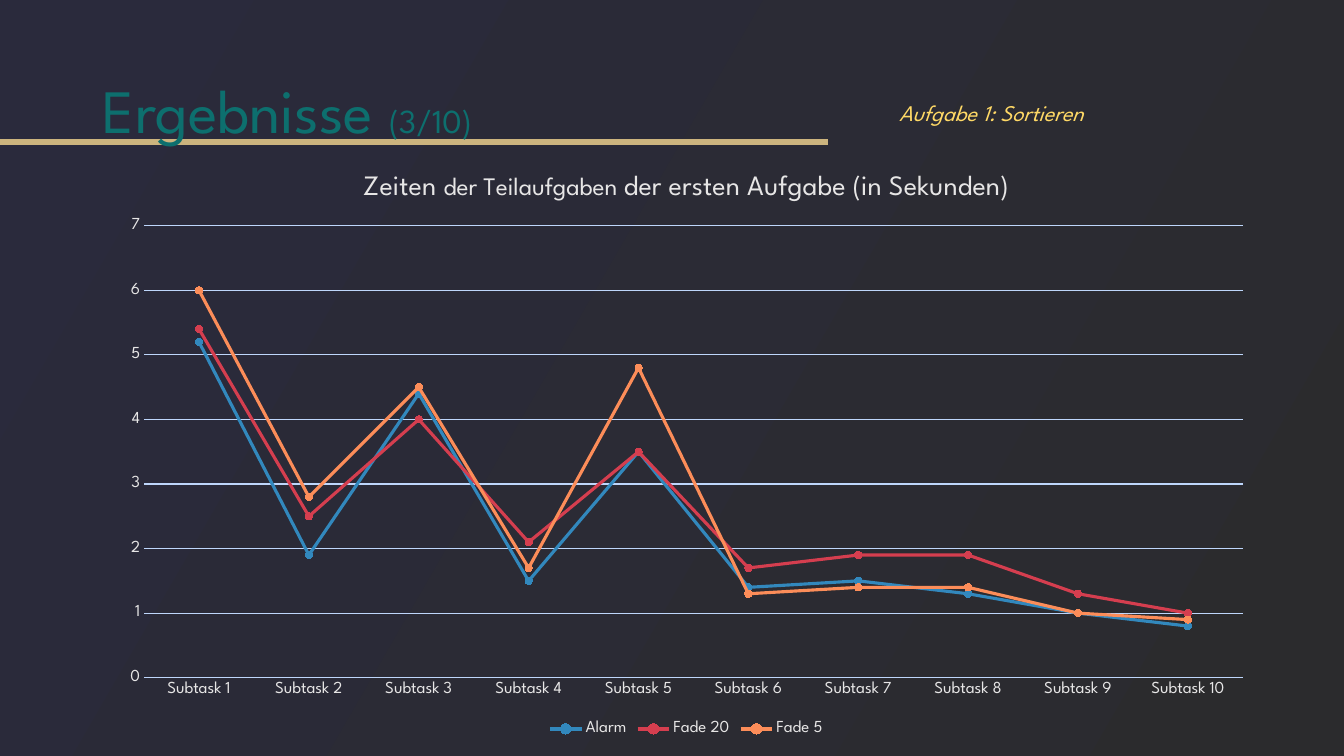
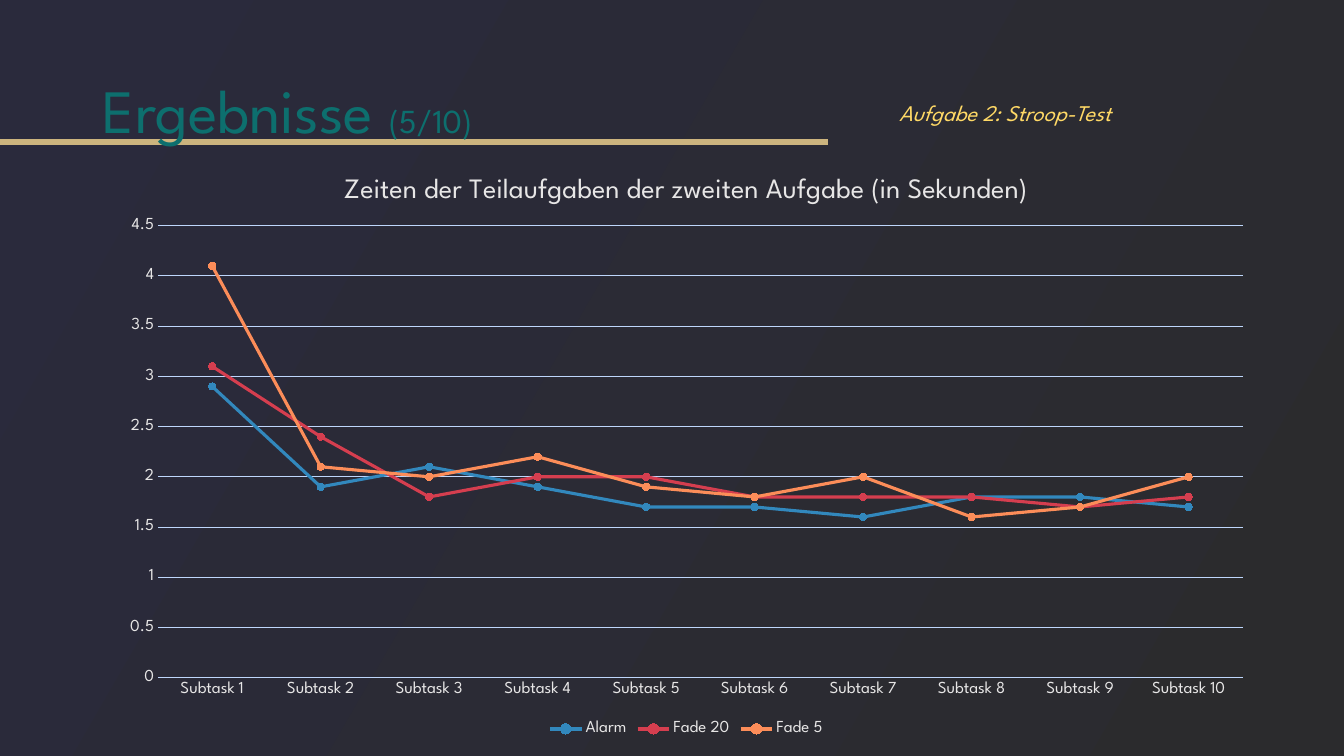
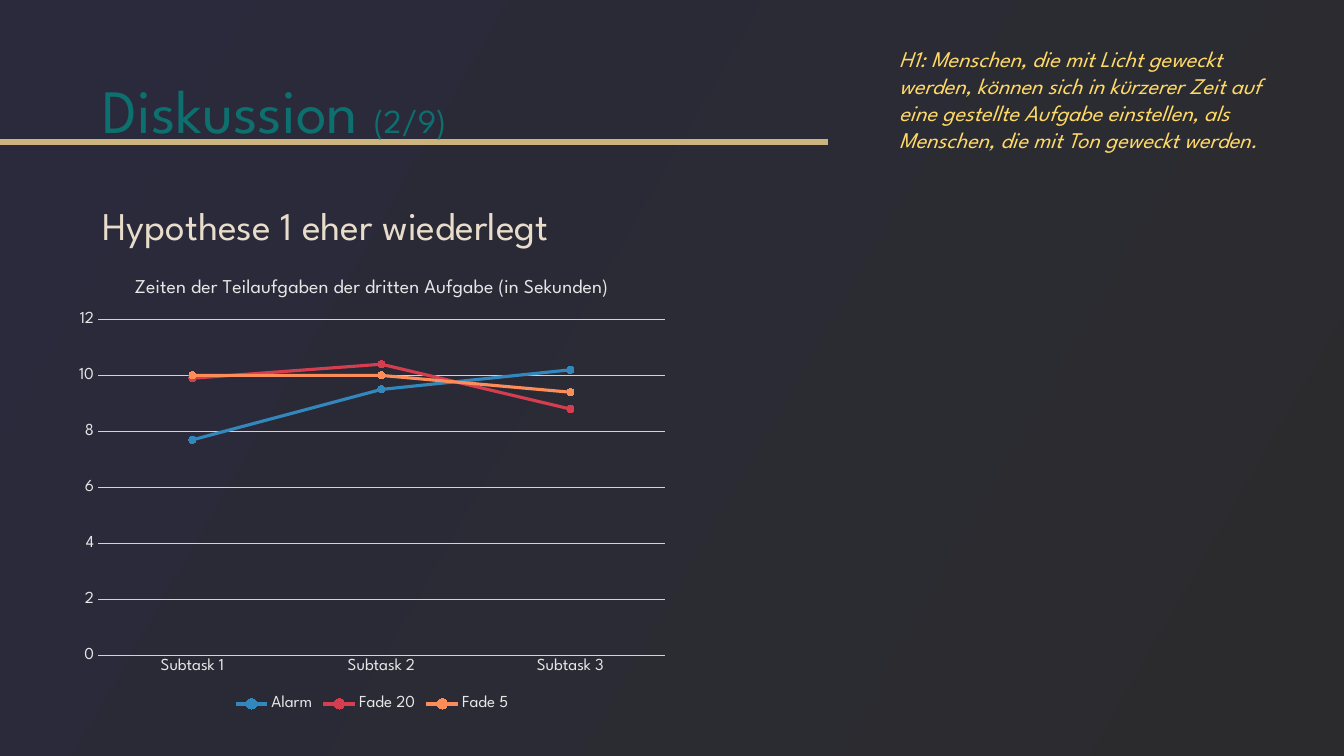
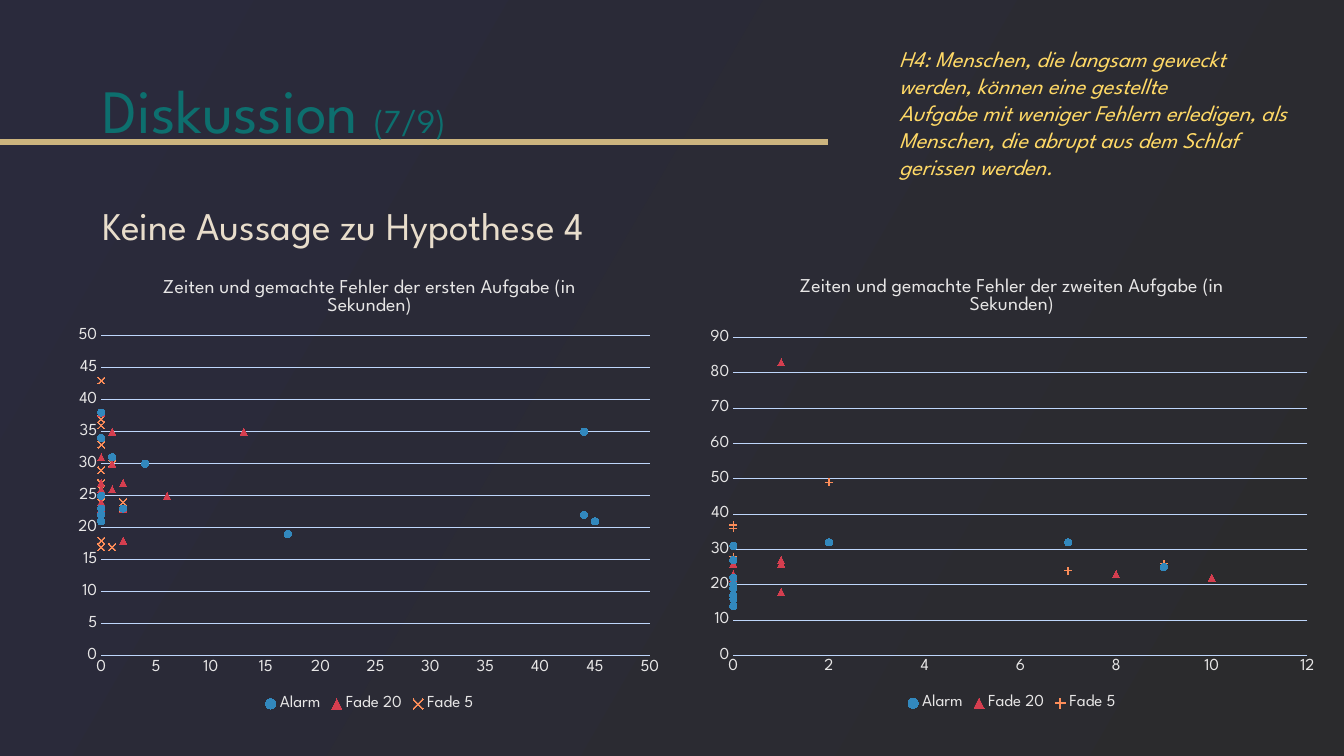
"""Build four slides with the results and discussion of a wake-up study."""
from typing import NamedTuple

from pptx import Presentation
from pptx.chart.data import CategoryChartData, XyChartData
from pptx.dml.color import RGBColor
from pptx.enum.chart import XL_CHART_TYPE, XL_LEGEND_POSITION, XL_MARKER_STYLE, XL_TICK_MARK
from pptx.enum.shapes import MSO_CONNECTOR
from pptx.enum.text import MSO_ANCHOR
from pptx.oxml import parse_xml
from pptx.oxml.ns import nsdecls, qn
from pptx.util import Cm, Pt

FONT = "League Spartan"
NIGHT = RGBColor(0x2A, 0x2A, 0x3C)
CHARCOAL = RGBColor(0x2B, 0x2B, 0x2D)
GOLD = RGBColor(0xCC, 0xB4, 0x7E)
TEAL = RGBColor(0x0D, 0x6F, 0x6E)
SAND = RGBColor(0xE8, 0xDD, 0xCB)
YELLOW = RGBColor(0xFF, 0xD9, 0x66)
PALE_GRAY = RGBColor(0xE7, 0xE6, 0xE6)
PALE_BLUE = RGBColor(0xBE, 0xD6, 0xFB)
SERIES_COLORS = {
    "Alarm": RGBColor(0x32, 0x88, 0xBD),
    "Fade 20": RGBColor(0xD5, 0x3E, 0x4F),
    "Fade 5": RGBColor(0xFC, 0x8D, 0x59),
}
CIRCLE = XL_MARKER_STYLE.CIRCLE
TRIANGLE = XL_MARKER_STYLE.TRIANGLE


class Box(NamedTuple):
    """Position and size in centimetres."""
    left: float
    top: float
    width: float
    height: float

    def lengths(self):
        """Return the four values as lengths."""
        return [Cm(value) for value in self]


class Inset(NamedTuple):
    """Distances in centimetres from a chart's edges to its plot."""
    left: float
    top: float
    right: float
    bottom: float


class Scale(NamedTuple):
    """Upper end and step of an axis that starts at zero."""
    maximum: float
    step: float


class Group(NamedTuple):
    """Errors and times of the participants woken by one method."""
    name: str
    errors: tuple
    times: tuple


TITLE_BOX = Box(2.34, 1.02, 29.21, 3.68)
BODY_BOX = Box(2.34, 5.08, 29.21, 12.09)
WIDE_CHART_BOX = Box(2.69, 3.86, 29.21, 14.81)
TASK_BOX = Box(22.41, 2.37, 10.46, 0.94)
HYPOTHESIS_BOX = Box(22.41, 1.02, 10.46, 3.68)


def style_font(font, size, color, italic=None):
    """Apply the deck's typeface with a size and colour."""
    font.name = FONT
    font.size = Pt(size)
    font.color.rgb = color
    font.italic = italic


def add_text(slide, box, lines, size, color, italic=None):
    """Add a wrapped text box with one paragraph per line."""
    text_frame = slide.shapes.add_textbox(*box.lengths()).text_frame
    text_frame.word_wrap = True
    text_frame.text = "\n".join(lines)
    for paragraph in text_frame.paragraphs:
        for run in paragraph.runs:
            style_font(run.font, size, color, italic)
    return text_frame


def add_base_slide(presentation, title, counter):
    """Add a slide with the shared background, rule and title."""
    slide = presentation.slides.add_slide(presentation.slide_layouts[6])
    fill = slide.background.fill
    fill.gradient()
    fill.gradient_angle = 330
    for stop, color in zip(fill.gradient_stops, (NIGHT, CHARCOAL)):
        stop.color.rgb = color
    rule = slide.shapes.add_connector(
        MSO_CONNECTOR.STRAIGHT, Cm(0), Cm(3.57), Cm(20.86), Cm(3.57))
    rule.line.color.rgb = GOLD
    rule.line.width = Pt(4.5)
    rule.element.spPr.append(parse_xml(f"<a:effectLst {nsdecls('a')}/>"))
    text_frame = add_text(slide, TITLE_BOX, [f"{title} "], 44, TEAL)
    text_frame.vertical_anchor = MSO_ANCHOR.MIDDLE
    paragraph = text_frame.paragraphs[0]
    paragraph.line_spacing = 0.9
    run = paragraph.add_run()
    run.text = counter
    style_font(run.font, 24, TEAL)
    return slide


def add_statement(slide, text):
    """Add the large statement below the title."""
    paragraph = add_text(slide, BODY_BOX, [text], 28, SAND).paragraphs[0]
    paragraph.line_spacing = 0.9
    paragraph.space_before = Pt(10)


def place_plot(chart, box, inset):
    """Fix the inner plot area inside the chart box."""
    fractions = {
        "x": inset.left / box.width,
        "y": inset.top / box.height,
        "w": (box.width - inset.left - inset.right) / box.width,
        "h": (box.height - inset.top - inset.bottom) / box.height,
    }
    values = "".join(f'<c:{key} val="{value:.4f}"/>' for key, value in fractions.items())
    plot_area = chart.element.find(".//" + qn("c:plotArea"))
    for layout in plot_area.findall(qn("c:layout")):
        plot_area.remove(layout)
    plot_area.insert(0, parse_xml(
        f'<c:layout {nsdecls("c")}><c:manualLayout><c:layoutTarget val="inner"/>'
        f'<c:xMode val="edge"/><c:yMode val="edge"/>{values}'
        '</c:manualLayout></c:layout>'))


def set_scale(axis, scale):
    """Run an axis from zero to its maximum."""
    axis.minimum_scale = 0
    axis.maximum_scale, axis.major_unit = scale


def set_chart_title(chart, title_parts):
    """Write the chart title from pairs of text and size."""
    chart.has_title = True
    paragraph = chart.chart_title.text_frame.paragraphs[0]
    for text, size in title_parts:
        run = paragraph.add_run()
        run.text = text
        style_font(run.font, size, PALE_GRAY)
        run.font.bold = False


def add_styled_chart(slide, box, kind, data, title_parts, inset, scale, markers):
    """Add a chart with the deck's title, axes, legend and series style."""
    chart = slide.shapes.add_chart(kind, *box.lengths(), data).chart
    style_font(chart.font, 12, PALE_GRAY)
    set_chart_title(chart, title_parts)
    chart.has_legend = True
    chart.legend.position = XL_LEGEND_POSITION.BOTTOM
    chart.legend.include_in_layout = False
    style_font(chart.legend.font, 12, PALE_GRAY)
    for axis in (chart.category_axis, chart.value_axis):
        axis.major_tick_mark = axis.minor_tick_mark = XL_TICK_MARK.NONE
        style_font(axis.tick_labels.font, 12, PALE_GRAY)
    chart.category_axis.has_major_gridlines = False
    chart.value_axis.has_major_gridlines = True
    chart.value_axis.format.line.fill.background()
    for line in (chart.category_axis.format.line,
                 chart.value_axis.major_gridlines.format.line):
        line.color.rgb = PALE_BLUE
        line.width = Pt(0.75)
    set_scale(chart.value_axis, scale)
    plot = chart.plots[0]
    plot.vary_by_categories = False
    for series, marker_style in zip(plot.series, markers):
        color = SERIES_COLORS[series.name]
        series.smooth = False
        series.marker.style = marker_style
        series.marker.size = 5
        series.marker.format.fill.solid()
        series.marker.format.fill.fore_color.rgb = color
        series.marker.format.line.color.rgb = color
        if kind == XL_CHART_TYPE.LINE_MARKERS:
            series.format.line.color.rgb = color
            series.format.line.width = Pt(2.25)
        else:
            series.format.line.fill.background()
    place_plot(chart, box, inset)
    return chart


def add_line_chart(slide, box, title_parts, inset, scale, rows):
    """Add a line chart of subtask times, one row per wake-up method."""
    data = CategoryChartData()
    data.categories = [f"Subtask {number}" for number in range(1, len(rows[0]) + 1)]
    for name, values in zip(SERIES_COLORS, rows):
        data.add_series(name, values)
    add_styled_chart(slide, box, XL_CHART_TYPE.LINE_MARKERS, data, title_parts,
                     inset, scale, [CIRCLE] * len(rows))


def remove_empty_points(chart):
    """Drop the stored points that have no value."""
    for point in list(chart.element.iter(qn("c:pt"))):
        if point.findtext(qn("c:v")) in (None, "", "None"):
            point.getparent().remove(point)


def add_scatter_chart(slide, box, title, inset, error_scale, time_scale, last_marker, groups):
    """Add a scatter chart of times over errors of all participants."""
    data = XyChartData()
    for name in SERIES_COLORS:
        series = data.add_series(name)
        for group in groups:
            for error_count, seconds in zip(group.errors, group.times):
                series.add_data_point(error_count, seconds if group.name == name else None)
    chart = add_styled_chart(slide, box, XL_CHART_TYPE.XY_SCATTER, data, [(title, 14)],
                             inset, time_scale, (CIRCLE, TRIANGLE, last_marker))
    set_scale(chart.category_axis, error_scale)
    remove_empty_points(chart)


def add_result_slide(presentation, counter, task, title_parts, plot_left, scale, rows):
    """Add a results slide with one wide line chart."""
    slide = add_base_slide(presentation, "Ergebnisse", counter)
    add_line_chart(slide, WIDE_CHART_BOX, title_parts,
                   Inset(plot_left, 1.83, 0.58, 1.59), scale, rows)
    add_text(slide, TASK_BOX, [task], 16, YELLOW, True)


def add_discussion_slide(presentation, counter, statement, hypothesis):
    """Add a discussion slide with its statement and hypothesis."""
    slide = add_base_slide(presentation, "Diskussion", counter)
    add_statement(slide, statement)
    add_text(slide, HYPOTHESIS_BOX, hypothesis, 16, YELLOW, True)
    return slide


def main():
    """Build and save the presentation."""
    presentation = Presentation()
    presentation.slide_width = Cm(33.87)
    presentation.slide_height = Cm(19.05)

    add_result_slide(
        presentation, "(3/10)", "Aufgabe 1: Sortieren",
        [("Zeiten ", 20), ("der Teilaufgaben ", 18),
         ("der ersten Aufgabe (in Sekunden)", 20)], 0.94, Scale(7, 1),
        [(5.2, 1.9, 4.4, 1.5, 3.5, 1.4, 1.5, 1.3, 1, 0.8),
         (5.4, 2.5, 4, 2.1, 3.5, 1.7, 1.9, 1.9, 1.3, 1),
         (6, 2.8, 4.5, 1.7, 4.8, 1.3, 1.4, 1.4, 1, 0.9)])
    add_result_slide(
        presentation, "(5/10)", "Aufgabe 2: Stroop-Test",
        [("Zeiten der Teilaufgaben der zweiten Aufgabe (in Sekunden)", 20)],
        1.29, Scale(4.5, 0.5),
        [(2.9, 1.9, 2.1, 1.9, 1.7, 1.7, 1.6, 1.8, 1.8, 1.7),
         (3.1, 2.4, 1.8, 2, 2, 1.8, 1.8, 1.8, 1.7, 1.8),
         (4.1, 2.1, 2, 2.2, 1.9, 1.8, 2, 1.6, 1.7, 2)])

    slide = add_discussion_slide(
        presentation, "(2/9)", "Hypothese 1 eher wiederlegt",
        ["H1: Menschen, die mit Licht geweckt werden, können sich in kürzerer Zeit auf "
         "eine gestellte Aufgabe einstellen, als Menschen, die mit Ton geweckt werden."])
    add_line_chart(
        slide, Box(1.68, 6.53, 15.39, 11.51),
        [("Zeiten der Teilaufgaben der dritten Aufgabe (in Sekunden)", 14)],
        Inset(0.79, 1.52, 0.31, 1.52), Scale(12, 2),
        [(7.7, 9.5, 10.2), (9.9, 10.4, 8.8), (10, 10, 9.4)])

    slide = add_discussion_slide(
        presentation, "(7/9)", "Keine Aussage zu Hypothese 4",
        ["H4: Menschen, die langsam geweckt werden, können eine gestellte",
         "Aufgabe mit weniger Fehlern erledigen, als Menschen, die abrupt aus dem Schlaf",
         "gerissen werden."])
    add_scatter_chart(
        slide, Box(1.68, 6.53, 15.27, 11.51),
        "Zeiten und gemachte Fehler der ersten Aufgabe (in Sekunden)",
        Inset(0.87, 1.93, 0.57, 1.51), Scale(50, 5), Scale(50, 5), XL_MARKER_STYLE.X,
        [Group("Alarm", (0, 0, 0, 0, 45, 0, 0, 0, 0, 1, 44, 2, 4, 17, 44),
               (34, 23, 22, 21, 21, 25, 23, 38, 21, 31, 35, 23, 30, 19, 22)),
         Group("Fade 5", (0, 0, 0, 0, 0, 2, 2, 0, 0, 0, 1, 0, 0, 1, 0),
               (17, 33, 36, 24, 27, 24, 23, 27, 26, 37, 17, 43, 18, 30, 29)),
         Group("Fade 20", (6, 2, 1, 0, 0, 0, 1, 0, 0, 1, 13, 2, 0, 2, 0),
               (25, 27, 26, 27, 23, 26, 30, 31, 24, 35, 35, 18, 38, 23, 24))])
    add_scatter_chart(
        slide, Box(17.59, 6.51, 15.82, 11.51),
        "Zeiten und gemachte Fehler der zweiten Aufgabe (in Sekunden)",
        Inset(0.89, 2, 0.46, 1.5), Scale(12, 2), Scale(90, 10), XL_MARKER_STYLE.PLUS,
        [Group("Fade 20", (0, 0, 1, 0, 1, 1, 0, 0, 0, 8, 0, 1, 0, 10, 0),
               (20, 23, 18, 20, 26, 27, 20, 18, 18, 23, 22, 83, 20, 22, 26)),
         Group("Fade 5", (0, 0, 2, 0, 0, 0, 0, 0, 0, 0, 0, 0, 7, 0, 9),
               (17, 19, 49, 19, 28, 20, 21, 20, 16, 21, 21, 36, 24, 37, 26)),
         Group("Alarm", (0, 0, 0, 0, 0, 7, 0, 0, 2, 0, 9, 0, 0, 0, 0),
               (20, 14, 19, 16, 31, 32, 19, 16, 32, 27, 25, 22, 20, 17, 20))])

    presentation.save("out.pptx")


if __name__ == "__main__":
    main()
